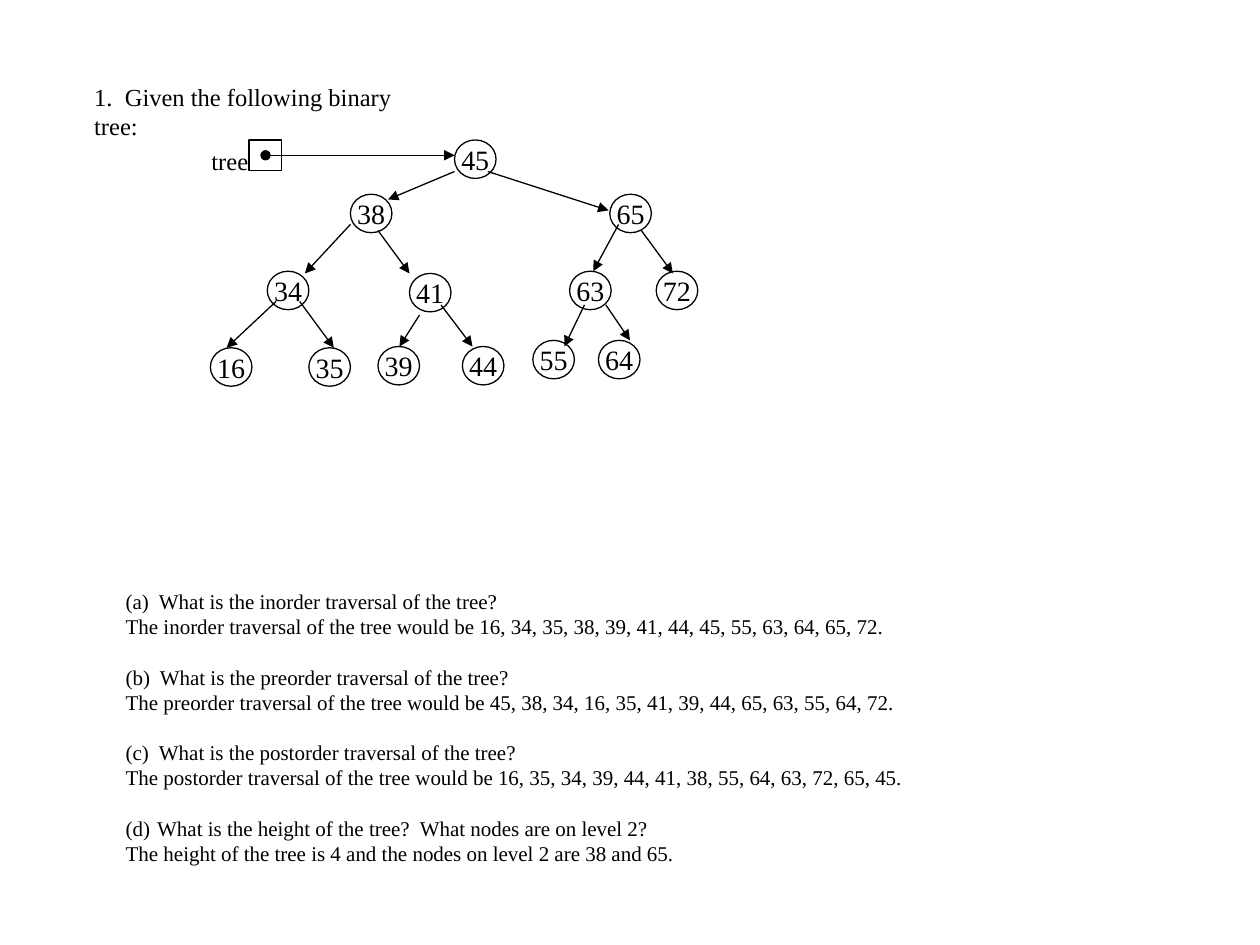
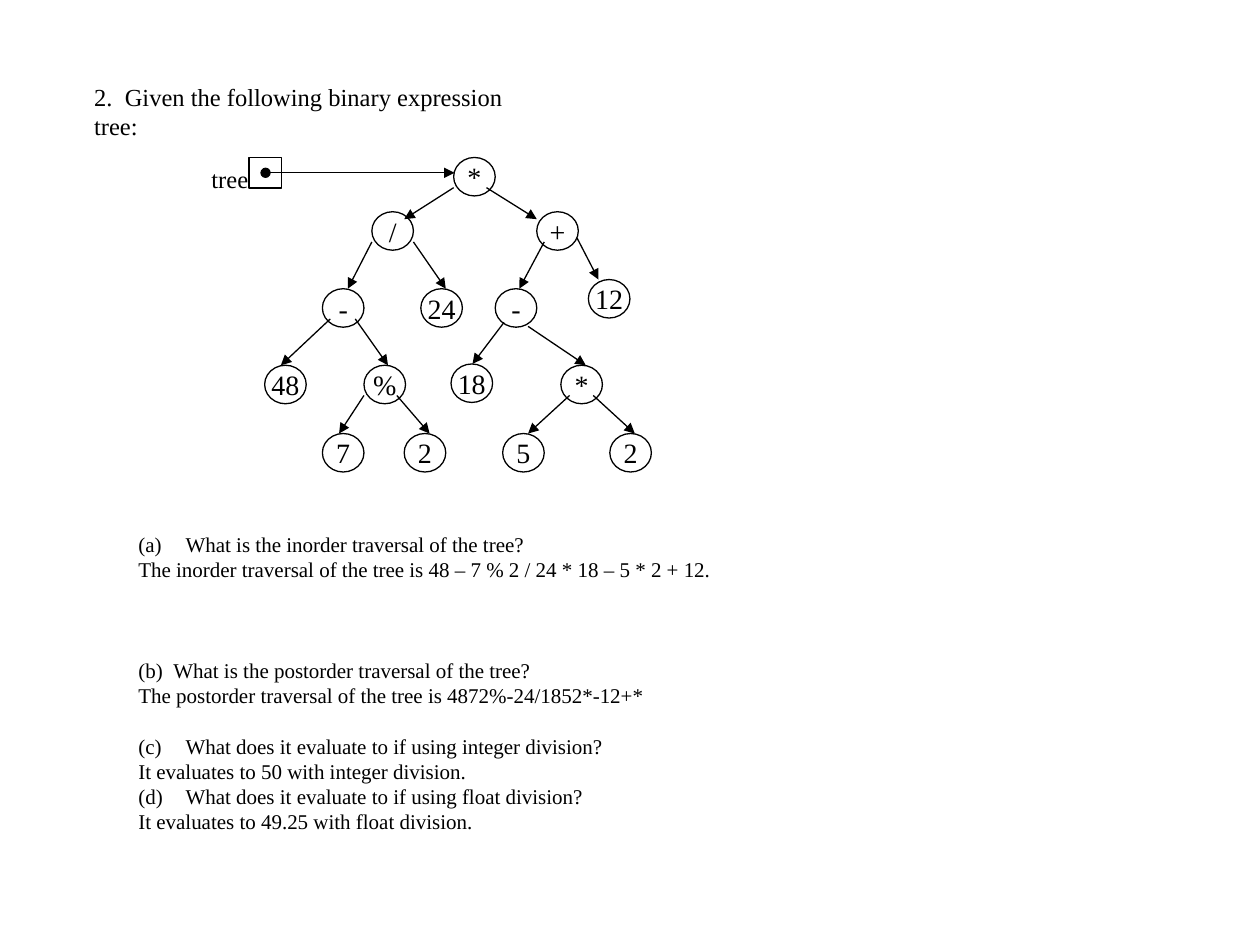
"""Build two exercise slides about traversing binary trees."""
from dataclasses import dataclass

from lxml import etree
from pptx import Presentation
from pptx.dml.color import RGBColor
from pptx.enum import shapes, text
from pptx.oxml import ns
from pptx.util import Pt


@dataclass(frozen=True)
class Theme:
    """Colours, type sizes and measures shared by the slides."""
    font: str = "Times New Roman"
    ink: RGBColor = RGBColor(0, 0, 0)
    title: float = 14
    body: float = 12
    node: float = 16
    line: float = 0.75
    body_line: float = 14.4
    node_width: float = 23.75
    node_height: float = 22


@dataclass(frozen=True)
class Box:
    """A region of a slide, in points."""
    left: float
    top: float
    width: float
    height: float


@dataclass(frozen=True)
class Node:
    """A tree node and the arrow that leads to it, relative to the tree."""
    label: str
    left: float
    top: float
    start: tuple
    end: tuple


@dataclass(frozen=True)
class Question:
    """A numbered question with its answer and the blank lines above it."""
    wording: str
    answer: str
    indent: float
    blank_lines: int = 1


THEME = Theme()
POINTER_START = (38, 8.75)
POINTER_END = (146, 8.75)

NUMBER_TREE = [
    Node("45", 146, 0, POINTER_START, POINTER_END),
    Node("38", 86.5, 31, (146, 18), (108, 34)),
    Node("65", 234.75, 31, (165, 18), (234, 40.25)),
    Node("34", 39, 75, (86.5, 48.25), (60.5, 76.25)),
    Node("41", 120.25, 76.25, (102.25, 51.75), (120.25, 76.25)),
    Node("63", 211.75, 75, (239.75, 48.25), (225.25, 75)),
    Node("72", 261.25, 75, (252.75, 51.75), (270.75, 76.25)),
    Node("16", 6.5, 118.75, (44, 92.25), (15.75, 118.75)),
    Node("35", 62.75, 118.75, (57.5, 92.25), (77, 118.75)),
    Node("39", 102.25, 118, (126, 100), (114.5, 118)),
    Node("44", 150.5, 118, (138.25, 94.25), (156.25, 118)),
    Node("55", 190.75, 114.5, (220.25, 94.25), (208.75, 118)),
    Node("64", 228.25, 114.5, (232.5, 94.25), (246.25, 114.5)),
]

EXPRESSION_TREE = [
    Node("*", 145.5, 0, POINTER_START, POINTER_END),
    Node("/", 98.75, 31, (145.5, 17.25), (117.25, 35.25)),
    Node("+", 193, 31, (164.25, 17.25), (193, 35.25)),
    Node("-", 70.5, 75, (98.75, 48.25), (85, 75)),
    Node("24", 126.75, 75, (122.5, 48.25), (141, 75)),
    Node("-", 169.25, 75, (197.25, 48.25), (183, 75)),
    Node("12", 222.5, 69.75, (216, 46), (228.25, 69.75)),
    Node("48", 37.5, 118.75, (75, 92.25), (46.75, 118.75)),
    Node("%", 94.25, 118.75, (89.25, 92.25), (108, 118.75)),
    Node("18", 144, 118, (174.25, 94.25), (156.25, 118)),
    Node("*", 206.75, 118.75, (188, 96.5), (221, 118.75)),
    Node("7", 70.5, 157.75, (94.25, 136), (80, 157.75)),
    Node("2", 117.25, 157.75, (113, 136), (131.75, 157.75)),
    Node("5", 173.5, 157.75, (211.75, 136), (188, 157.75)),
    Node("2", 234.75, 157.75, (225.25, 136), (249, 157.75)),
]

NUMBER_QUESTIONS = [
    Question("What is the inorder traversal of the tree?",
             "The inorder traversal of the tree would be "
             "16, 34, 35, 38, 39, 41, 44, 45, 55, 63, 64, 65, 72.", 19, 0),
    Question("What is the preorder traversal of the tree?",
             "The preorder traversal of the tree would be "
             "45, 38, 34, 16, 35, 41, 39, 44, 65, 63, 55, 64, 72.", 19.5),
    Question("What is the postorder traversal of the tree?",
             "The postorder traversal of the tree would be "
             "16, 35, 34, 39, 44, 41, 38, 55, 64, 63, 72, 65, 45.", 19),
    Question("What is the height of the tree?  What nodes are on level 2?",
             "The height of the tree is 4 and the nodes on level 2 are 38 and 65.", 18),
]

EXPRESSION_QUESTIONS = [
    Question("What is the inorder traversal of the tree?",
             "The inorder traversal of the tree is 48 – 7 % 2 / 24 * 18 – 5 * 2 + 12.", 27, 0),
    Question("What is the postorder traversal of the tree?",
             "The postorder traversal of the tree is 4872%-24/1852*-12+*", 20, 3),
    Question("What does it evaluate to if using integer division?",
             "It evaluates to 50 with integer division.", 27),
    Question("What does it evaluate to if using float division?",
             "It evaluates to 49.25 with float division.", 27, 0),
]


def write(paragraph, wording, *, size, align=text.PP_ALIGN.LEFT, before=0):
    """Put formatted text into a paragraph."""
    paragraph.alignment = align
    paragraph.space_before = Pt(before)
    run = paragraph.add_run()
    run.text = wording
    run.font.name = THEME.font
    run.font.size = Pt(size)
    run.font.color.rgb = THEME.ink


def number(paragraph, position, indent):
    """Number a paragraph as (a), (b), ... with a hanging indent."""
    properties = paragraph._p.get_or_add_pPr()
    properties.set("marL", str(Pt(indent)))
    properties.set("indent", str(-Pt(indent)))
    etree.SubElement(properties, ns.qn("a:buAutoNum"),
                     type="alphaLcParenBoth", startAt=str(position))


def add_text_frame(slide, box, wrap=True):
    """Add a text box and return its frame."""
    frame = slide.shapes.add_textbox(
        Pt(box.left), Pt(box.top), Pt(box.width), Pt(box.height)).text_frame
    frame.word_wrap = wrap
    return frame


def add_outline(slide, kind, box):
    """Add an unfilled preset shape with a thin outline."""
    shape = slide.shapes.add_shape(
        kind, Pt(box.left), Pt(box.top), Pt(box.width), Pt(box.height))
    shape.shadow.inherit = False
    shape.fill.background()
    shape.line.color.rgb = THEME.ink
    shape.line.width = Pt(THEME.line)
    return shape


def add_arrow(slide, box, start, end, head=None):
    """Add an arrow between two points relative to a box."""
    connector = slide.shapes.add_connector(
        shapes.MSO_CONNECTOR.STRAIGHT,
        Pt(box.left + start[0]), Pt(box.top + start[1]),
        Pt(box.left + end[0]), Pt(box.top + end[1]))
    connector.line.color.rgb = THEME.ink
    connector.line.width = Pt(THEME.line)
    line = connector.line._get_or_add_ln()
    if head:
        etree.SubElement(line, ns.qn("a:headEnd"), type=head)
    etree.SubElement(line, ns.qn("a:tailEnd"), type="triangle")
    etree.SubElement(connector._element.spPr, ns.qn("a:effectLst"))


def add_node(slide, box, label):
    """Add a circled label that fills the box."""
    frame = add_outline(slide, shapes.MSO_SHAPE.OVAL, box).text_frame
    frame.word_wrap = False
    frame.vertical_anchor = text.MSO_ANCHOR.MIDDLE
    frame.margin_left = frame.margin_right = frame.margin_top = frame.margin_bottom = 0
    write(frame.paragraphs[0], label, size=THEME.node, align=text.PP_ALIGN.CENTER)


def add_tree(slide, box, nodes):
    """Draw the tree pointer, the nodes and the arrows between them."""
    label = add_text_frame(slide, Box(box.left, box.top, 35.25, 24), wrap=False)
    write(label.paragraphs[0], "tree", size=THEME.title)
    add_outline(slide, shapes.MSO_SHAPE.RECTANGLE,
                Box(box.left + 28.5, box.top, 18.75, 17.5))
    for node in nodes:
        add_node(slide, Box(box.left + node.left, box.top + node.top,
                            THEME.node_width, THEME.node_height), node.label)
        add_arrow(slide, box, node.start, node.end,
                  head="oval" if node.start == POINTER_START else None)


def add_title(slide, box, wording):
    """Write the exercise statement."""
    write(add_text_frame(slide, box).paragraphs[0], wording, size=THEME.title)


def add_questions(slide, box, questions):
    """Write the numbered questions, each followed by its answer."""
    frame = add_text_frame(slide, box)
    for position, question in enumerate(questions, 1):
        paragraph = frame.paragraphs[0] if position == 1 else frame.add_paragraph()
        write(paragraph, question.wording, size=THEME.body,
              before=question.blank_lines * THEME.body_line)
        number(paragraph, position, question.indent)
        write(frame.add_paragraph(), question.answer, size=THEME.body)


def add_exercise(presentation, title, title_width, nodes, tree_box, questions, question_box):
    """Add one exercise slide: statement, tree and questions."""
    slide = presentation.slides.add_slide(presentation.slide_layouts[6])
    add_title(slide, Box(46.75, 43.25, title_width, 24), title)
    add_questions(slide, question_box, questions)
    add_tree(slide, tree_box, nodes)


def main():
    """Build and save the presentation."""
    presentation = Presentation()
    presentation.slide_width, presentation.slide_height = Pt(720), Pt(540)
    add_exercise(presentation, "1.  Given the following binary tree:", 212.5,
                 NUMBER_TREE, Box(113.75, 80, 285, 141),
                 NUMBER_QUESTIONS, Box(64.75, 332.75, 526.25, 167))
    add_exercise(presentation, "2.  Given the following binary expression tree:", 275.75,
                 EXPRESSION_TREE, Box(113.75, 90, 258.5, 180),
                 EXPRESSION_QUESTIONS, Box(72, 300.25, 345.5, 211))
    presentation.save("out.pptx")


main()
